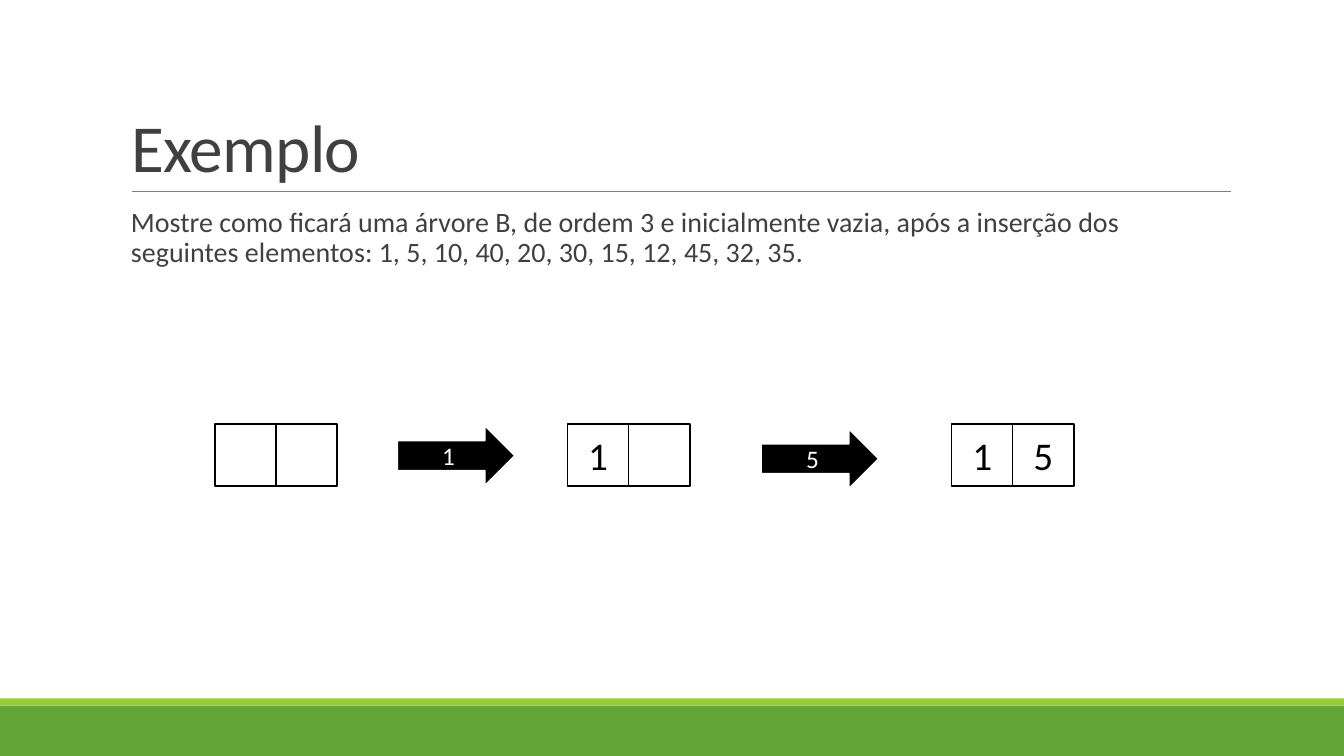
from dataclasses import dataclass

from pptx import Presentation
from pptx.dml.color import RGBColor
from pptx.enum.shapes import MSO_CONNECTOR, MSO_SHAPE
from pptx.enum.text import MSO_ANCHOR, PP_ALIGN
from pptx.oxml.ns import qn
from pptx.oxml.xmlchemy import OxmlElement
from pptx.util import Cm, Pt

RECT, ARROW = MSO_SHAPE.RECTANGLE, MSO_SHAPE.RIGHT_ARROW
STRAIGHT = MSO_CONNECTOR.STRAIGHT
TOP, MIDDLE, BOTTOM = MSO_ANCHOR.TOP, MSO_ANCHOR.MIDDLE, MSO_ANCHOR.BOTTOM
LEFT, CENTER = PP_ALIGN.LEFT, PP_ALIGN.CENTER


@dataclass(frozen=True)
class Theme:
    font: str = "Calibri"
    text: RGBColor = RGBColor(0x40, 0x40, 0x40)
    black: RGBColor = RGBColor(0, 0, 0)
    white: RGBColor = RGBColor(0xFF, 0xFF, 0xFF)
    rule: RGBColor = RGBColor(0x80, 0x80, 0x80)
    green: RGBColor = RGBColor(0x63, 0xA5, 0x37)
    lime: RGBColor = RGBColor(0x99, 0xCB, 0x38)
    title_size: int = 48
    body_size: int = 20
    key_size: int = 28
    arrow_size: int = 18


THEME = Theme()
SLIDE_W, SLIDE_H = 33.87, 19.05
TEXT_X, TEXT_W = 3.05, 27.94
KEY_SIDE, KEY_PITCH, NODE_Y = 1.55, 1.54, 10.69
ARROW_W, ARROW_H = 2.97, 1.52


def write(tf, text, size, color, align, anchor):
    tf.word_wrap = True
    tf.vertical_anchor = anchor
    p = tf.paragraphs[0]
    p.text = text
    p.alignment = align
    p.font.name = THEME.font
    p.font.size = Pt(size)
    p.font.color.rgb = color
    return p


def add_box(s, kind, x, y, w, h, fill, line=None):
    sp = s.shapes.add_shape(kind, Cm(x), Cm(y), Cm(w), Cm(h))
    sp.shadow.inherit = False
    sp.fill.solid()
    sp.fill.fore_color.rgb = fill
    if line is None:
        sp.line.fill.background()
    else:
        sp.line.color.rgb = line
        sp.line.width = Pt(1.25)
    return sp


def add_title(s, text):
    title = s.shapes.title
    title.left, title.top = Cm(TEXT_X), Cm(0.79)
    title.width, title.height = Cm(TEXT_W), Cm(4.04)
    p = write(title.text_frame, text, THEME.title_size, THEME.text, LEFT, BOTTOM)
    p.line_spacing = 0.85
    p._p.pPr.find(qn("a:defRPr")).set("spc", "-50")


def add_rule(s, x1, x2, y):
    rule = s.shapes.add_connector(STRAIGHT, Cm(x1), Cm(y), Cm(x2), Cm(y))
    rule.line.color.rgb = THEME.rule
    rule.line.width = Pt(0.5)
    rule._element.spPr.append(OxmlElement("a:effectLst"))


def add_body(s, text):
    tf = s.shapes.add_textbox(Cm(TEXT_X), Cm(5.13), Cm(TEXT_W), Cm(11.18)).text_frame
    tf.margin_left, tf.margin_right = Cm(0.25), 0
    p = write(tf, text, THEME.body_size, THEME.text, LEFT, TOP)
    p.line_spacing = 0.9
    p.space_after = Pt(2)


def add_node(s, x, keys):
    """Draw a tree node as a row of key cells; an empty key leaves its cell blank."""
    for i, key in enumerate(keys):
        cell = add_box(s, RECT, x + i * KEY_PITCH, NODE_Y, KEY_SIDE, KEY_SIDE,
                       THEME.white, THEME.black)
        if key:
            write(cell.text_frame, key, THEME.key_size, THEME.black, CENTER, MIDDLE)


def add_insertion(s, x, y, key):
    arrow = add_box(s, ARROW, x, y, ARROW_W, ARROW_H, THEME.black, THEME.white)
    write(arrow.text_frame, key, THEME.arrow_size, THEME.white, CENTER, MIDDLE)


def main():
    prs = Presentation()
    prs.slide_width, prs.slide_height = Cm(SLIDE_W), Cm(SLIDE_H)
    s = prs.slides.add_slide(prs.slide_layouts[5])

    add_box(s, RECT, 0, 17.78, SLIDE_W, 1.27, THEME.green)
    add_box(s, RECT, 0, 17.6, SLIDE_W, 0.18, THEME.lime)
    add_rule(s, 3.33, 31.01, 4.83)
    add_title(s, "Exemplo")
    add_body(s, "Mostre como ficará uma árvore B, de ordem 3 e inicialmente vazia, "
                "após a inserção dos seguintes elementos: "
                "1, 5, 10, 40, 20, 30, 15, 12, 45, 32, 35.")

    for x, keys in ((5.41, ("", "")), (14.3, ("1", "")), (23.98, ("1", "5"))):
        add_node(s, x, keys)
    for x, y, key in ((10.01, 10.72, "1"), (19.18, 10.8, "5")):
        add_insertion(s, x, y, key)

    prs.save("out.pptx")


if __name__ == "__main__":
    main()
